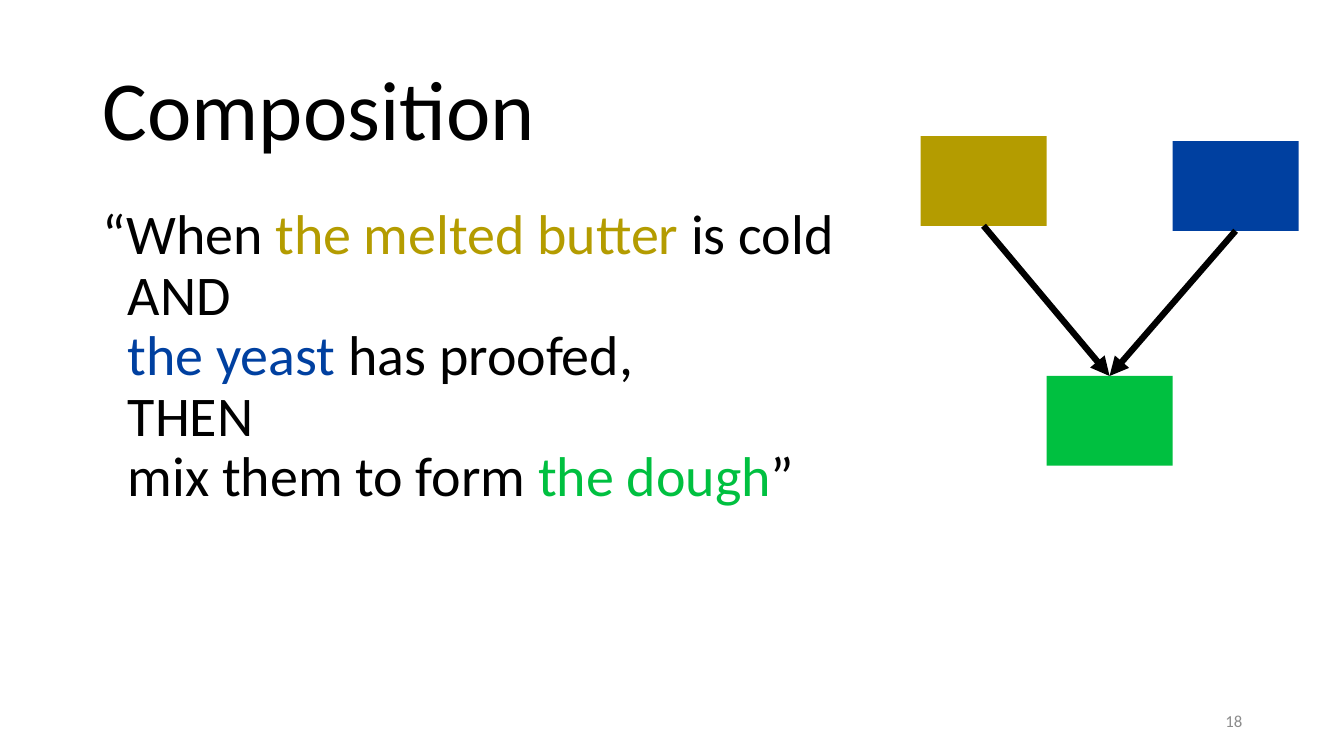
from pptx import Presentation
from pptx import util as u
from pptx.dml.color import RGBColor
from pptx.enum import shapes, text
from pptx.oxml.ns import qn
from lxml import etree

PX = 9144  # 100 px to the inch
FONT = "Calibri"
BLACK = RGBColor(0x00, 0x00, 0x00)
GREY = RGBColor(0x8C, 0x8C, 0x8C)
GOLD = RGBColor(0xB4, 0x9C, 0x00)
BLUE = RGBColor(0x00, 0x40, 0xA0)
GREEN = RGBColor(0x00, 0xC0, 0x40)

RECIPE = [
    [("“When ", BLACK), ("the melted butter ", GOLD), ("is cold", BLACK)],
    [("AND", BLACK)],
    [("the yeast ", BLUE), ("has proofed,", BLACK)],
    [("THEN", BLACK)],
    [("mix them to form ", BLACK), ("the dough", GREEN), ("”", BLACK)],
]


def px(*nums):
    return [u.Emu(n * PX) for n in nums]


def add_run(para, words, size, color):
    run = para.add_run()
    run.text = words
    run.font.name = FONT
    run.font.size = u.Pt(size)
    run.font.color.rgb = color


def set_frame(shape, anchor, align):
    frame = shape.text_frame
    frame.word_wrap = True
    frame.auto_size = text.MSO_AUTO_SIZE.NONE
    frame.vertical_anchor = anchor
    para = frame.paragraphs[0]
    para.alignment = align
    return para


def set_title(slide, words):
    title = slide.shapes.title
    title.left, title.top, title.width, title.height = px(92, 40, 1150, 145)
    para = set_frame(title, text.MSO_ANCHOR.MIDDLE, text.PP_ALIGN.LEFT)
    para.line_spacing = 0.9
    add_run(para, words, 60, BLACK)


def add_quote(slide, lines):
    box = slide.shapes.add_textbox(*px(92, 200, 1150, 476))
    para = set_frame(box, text.MSO_ANCHOR.TOP, text.PP_ALIGN.LEFT)
    para.line_spacing = 0.9
    para.space_before, para.space_after = u.Pt(10), u.Pt(12)
    # Hanging indent: later lines align after the quotation mark
    props = para._p.get_or_add_pPr()
    props.set("marL", str(25 * PX))
    props.set("indent", str(-25 * PX))
    for i, line in enumerate(lines):
        if i:
            para.add_line_break()
        for words, color in line:
            add_run(para, words, 40, color)
    # Breaks take the size of the text around them
    for br in para._p.findall(qn("a:br")):
        etree.SubElement(br, qn("a:rPr"), sz="4000")


def add_number(slide, words):
    box = slide.shapes.add_textbox(*px(942, 695, 300, 40))
    para = set_frame(box, text.MSO_ANCHOR.MIDDLE, text.PP_ALIGN.RIGHT)
    add_run(para, words, 12, GREY)


def add_block(slide, left, top, color):
    block = slide.shapes.add_shape(
        shapes.MSO_SHAPE.RECTANGLE, *px(left, top, 125, 89))
    block.shadow.inherit = False
    block.fill.solid()
    block.fill.fore_color.rgb = color
    block.line.fill.background()
    return block


def add_arrow(slide, start, end):
    arrow = slide.shapes.add_connector(
        shapes.MSO_CONNECTOR.STRAIGHT, 0, 0, 0, 0)
    arrow.begin_connect(start, 2)  # bottom centre
    arrow.end_connect(end, 0)  # top centre
    arrow.line.width = u.Pt(4.5)
    arrow.line.color.rgb = BLACK
    etree.SubElement(arrow.line._get_or_add_ln(), qn("a:tailEnd"),
                     type="triangle")
    etree.SubElement(arrow._element.spPr, qn("a:effectLst"))


def main():
    prs = Presentation()
    prs.slide_width, prs.slide_height = px(1333, 750)
    slide = prs.slides.add_slide(prs.slide_layouts[5])

    # Text
    set_title(slide, "Composition")
    add_quote(slide, RECIPE)
    add_number(slide, "18")

    # Diagram: two ingredients flow into the dough
    butter = add_block(slide, 913, 135, GOLD)
    yeast = add_block(slide, 1163, 140, BLUE)
    dough = add_block(slide, 1038, 373, GREEN)
    for item in (butter, yeast):
        add_arrow(slide, item, dough)

    prs.save("out.pptx")


if __name__ == "__main__":
    main()
